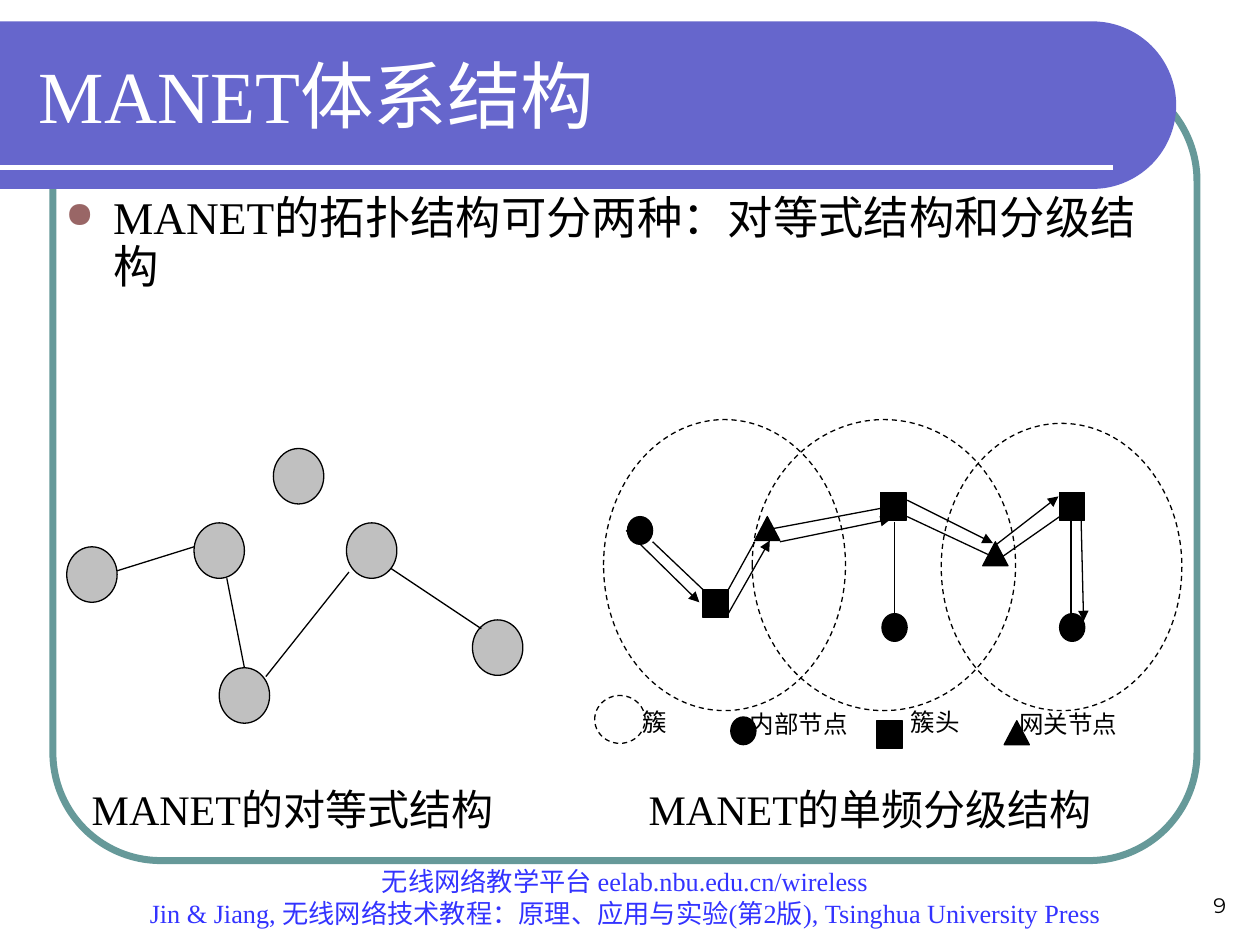
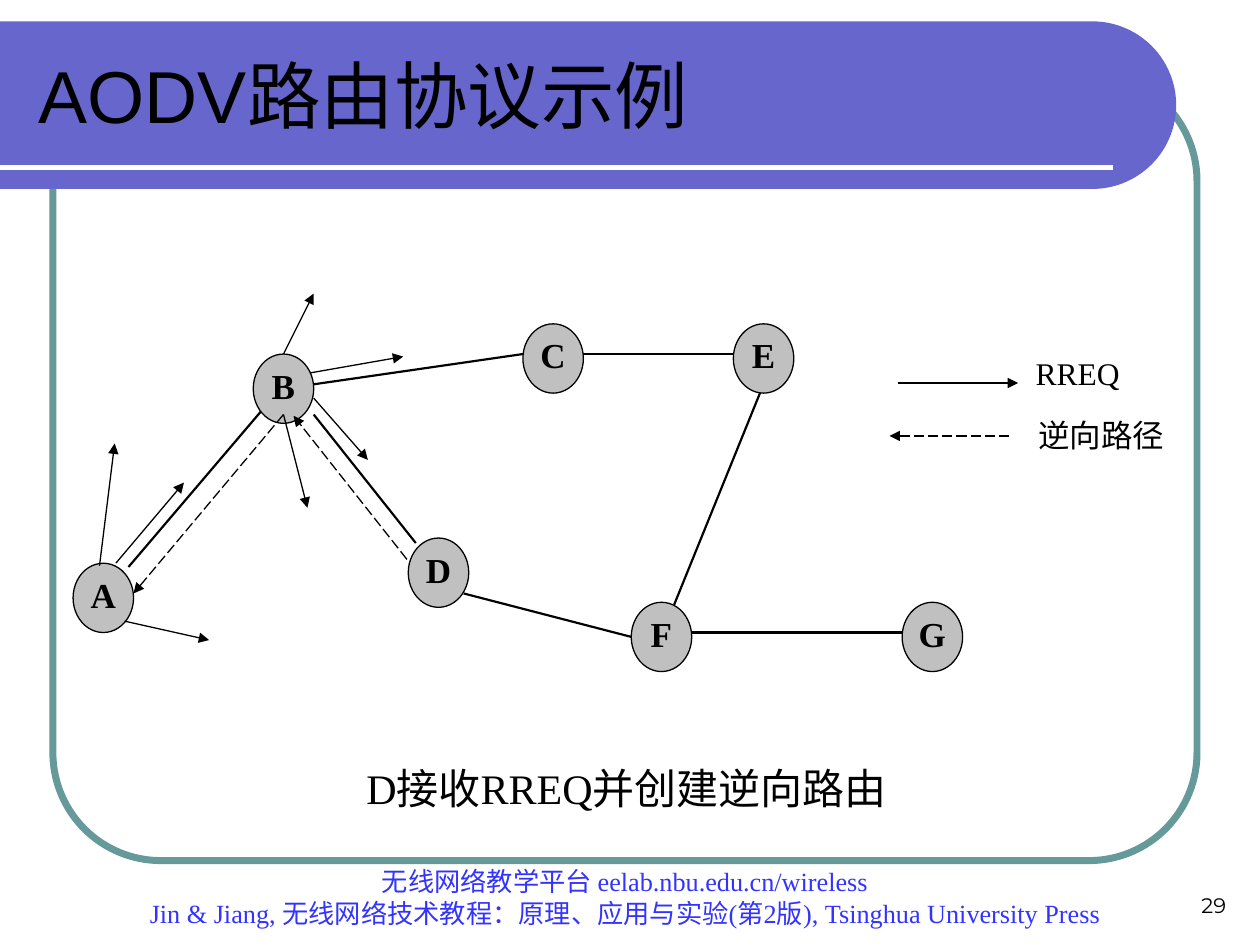
import math

import lxml.etree
import pptx
import pptx.dml.color
import pptx.enum.dml
import pptx.enum.shapes
import pptx.enum.text
import pptx.oxml.ns
import pptx.util

PX = 9144  # EMU per px, 100 px to the inch
SERIF, SANS, NUMBER_FONT = "Times New Roman", "Arial", "Montserrat"
COLORS = {
    "black": "000000", "white": "FFFFFF", "node": "C0C0C0", "band": "6666CC",
    "frame": "669999", "footer": "3333FF", "bullet": "996666",
}
FOOTER = ["无线网络教学平台 eelab.nbu.edu.cn/wireless",
          "Jin & Jiang, 无线网络技术教程：原理、应用与实验(第2版), Tsinghua University Press"]

SHAPE = pptx.enum.shapes.MSO_SHAPE
ALIGN = pptx.enum.text.PP_ALIGN
ANCHOR = pptx.enum.text.MSO_ANCHOR
DASH = pptx.enum.dml.MSO_LINE.DASH
LONG_DASH = pptx.enum.dml.MSO_LINE.LONG_DASH


def rgb(name):
    return pptx.dml.color.RGBColor.from_string(COLORS[name])


def add_xml(parent, tag, **attrs):
    return lxml.etree.SubElement(parent, pptx.oxml.ns.qn(tag), **attrs)


class Deck:
    def __init__(self):
        self.prs = pptx.Presentation()
        self.prs.slide_width = 1000 * PX
        self.prs.slide_height = 750 * PX
        self.s = None

    def stroke(self, line, color, width, dash=None):
        line.color.rgb = rgb(color)
        line.width = pptx.util.Pt(width)
        if dash:
            line.dash_style = dash

    def fill_text(self, sp, lines, size, font=SERIF, color="black", bold=False,
                  align=ALIGN.LEFT, anchor=ANCHOR.TOP, inset=(10, 5)):
        tf = sp.text_frame
        tf.word_wrap = True
        tf.vertical_anchor = anchor
        tf.margin_left = tf.margin_right = inset[0] * PX
        tf.margin_top = tf.margin_bottom = inset[1] * PX
        tf.text = "\n".join(lines)
        for p in tf.paragraphs:
            p.alignment = align
            for r in p.runs:
                r.font.name = font
                r.font.size = pptx.util.Pt(size)
                r.font.bold = bold
                r.font.color.rgb = rgb(color)
        return tf

    def text(self, box, lines, size, **style):
        sp = self.s.shapes.add_textbox(*(v * PX for v in box))
        return self.fill_text(sp, lines, size, **style)

    def label(self, box, text, size):
        self.text(box, [text], size, align=ALIGN.JUSTIFY, inset=(0, 0))

    def caption(self, box, text):
        self.text(box, [text], 24, anchor=ANCHOR.MIDDLE)

    def bullet(self, box, text, size):
        p = self.text(box, [text], size).paragraphs[0]
        pPr = p._p.get_or_add_pPr()
        pPr.set("marL", str(38 * PX))
        pPr.set("indent", str(-38 * PX))
        add_xml(add_xml(pPr, "a:buClr"), "a:srgbClr", val=COLORS["bullet"])
        add_xml(pPr, "a:buSzPct", val="80000")
        add_xml(pPr, "a:buChar", char="●")
        p.line_spacing = 0.9

    def shape(self, kind, box, fill=None, line="black", width=0.75, dash=None):
        sp = self.s.shapes.add_shape(kind, *(v * PX for v in box))
        sp.shadow.inherit = False
        if fill:
            sp.fill.solid()
            sp.fill.fore_color.rgb = rgb(fill)
        else:
            sp.fill.background()
        self.stroke(sp.line, line, width, dash)
        return sp

    def line(self, x1, y1, x2, y2, color="black", width=0.75, dash=None, arrow=False):
        sp = self.s.shapes.add_connector(
            pptx.enum.shapes.MSO_CONNECTOR.STRAIGHT, *(v * PX for v in (x1, y1, x2, y2)))
        self.stroke(sp.line, color, width, dash)
        if arrow:
            add_xml(sp.line._get_or_add_ln(), "a:tailEnd", type="triangle")
        add_xml(sp._element.spPr, "a:effectLst")

    def band(self, top, bottom, arc_x):
        """Bar from the left edge with a half-round right end."""
        r, mid = (bottom - top) / 2, (top + bottom) / 2
        arc = [(arc_x + r * math.cos(math.radians(a)), mid + r * math.sin(math.radians(a)))
               for a in range(-90, 91, 3)]
        fb = self.s.shapes.build_freeform(0, top * PX)
        fb.add_line_segments([(round(x * PX), round(y * PX)) for x, y in arc + [(0, bottom)]])
        sp = fb.convert_to_shape()
        sp.shadow.inherit = False
        sp.fill.solid()
        sp.fill.fore_color.rgb = rgb("band")
        sp.line.fill.background()

    def slide(self, title, number, font=SERIF, color="white"):
        self.s = self.prs.slides.add_slide(self.prs.slide_layouts[6])
        frame = self.shape(SHAPE.ROUNDED_RECTANGLE, (42, 58, 908, 625), line="frame", width=4)
        frame.adjustments[0] = 0.137
        self.band(17, 150, 867)
        self.line(0, 133, 883, 133, color="white", width=3)
        self.text((75, 700, 842, 42), FOOTER, 15, color="footer",
                  align=ALIGN.CENTER, anchor=ANCHOR.BOTTOM)
        self.text((750, 683, 233, 50), [str(number)], 12, font=NUMBER_FONT,
                  align=ALIGN.RIGHT, anchor=ANCHOR.BOTTOM)
        self.text((21, 25, 877, 100), [title], 42, font=font, color=color,
                  anchor=ANCHOR.MIDDLE)


def architecture(d):
    d.slide("MANET体系结构", 9)
    d.bullet((42, 150, 883, 100), "MANET的拓扑结构可分两种：对等式结构和分级结构", 25.9)

    # Flat structure
    for x, y in [(53, 434), (154, 415), (174, 530), (275, 415), (217, 356), (375, 492)]:
        d.shape(SHAPE.OVAL, (x, y, 40, 44), "node")
    for ends in [(93, 453, 154, 434), (180, 459, 194, 530),
                 (211, 537, 277, 454), (310, 451, 382, 499)]:
        d.line(*ends)

    # Clusters
    for box in [(479, 333, 192, 231), (597, 333, 209, 231), (747, 336, 191, 228)]:
        d.shape(SHAPE.OVAL, box, dash=DASH)
    d.shape(SHAPE.OVAL, (472, 552, 40, 38), "white", dash=DASH)

    # Inner nodes, cluster heads and gateways, the last of each in the legend
    markers = [
        (SHAPE.OVAL, 22, [(498, 410), (700, 487), (841, 487), (580, 569)]),
        (SHAPE.RECTANGLE, 22, [(558, 468), (699, 391), (841, 391), (696, 572)]),
        (SHAPE.ISOSCELES_TRIANGLE, 19, [(599, 410), (780, 430), (797, 572)]),
    ]
    for kind, height, places in markers:
        for x, y in places:
            d.shape(kind, (x, y, 20, height), "black")

    # Links and the route along them
    for ends in [(518, 430, 558, 468), (599, 430, 578, 468), (850, 412, 850, 508),
                 (710, 414, 710, 491), (791, 445, 841, 410), (720, 410, 784, 440),
                 (611, 420, 707, 402)]:
        d.line(*ends)
    for ends in [(497, 421, 555, 478), (578, 487, 611, 429), (619, 430, 707, 412),
                 (720, 397, 788, 431), (791, 432, 840, 394), (858, 411, 860, 493)]:
        d.line(*ends, arrow=True)

    # Legend labels and captions
    d.label((510, 561, 40, 39), "簇", 14)
    d.label((595, 563, 109, 32), "内部节点", 14)
    d.label((723, 561, 52, 28), "簇头", 14)
    d.label((809, 563, 104, 34), "网关节点", 14)
    d.caption((63, 617, 354, 50), "MANET的对等式结构")
    d.caption((505, 617, 387, 50), "MANET的单频分级结构")


def aodv_example(d):
    d.slide("AODV路由协议示例", 29, font=SANS, color="black")

    # Links between nodes
    for ends in [(102, 450, 211, 322), (249, 305, 415, 281), (463, 281, 582, 281),
                 (249, 329, 330, 431), (368, 471, 503, 506), (535, 480, 606, 305),
                 (549, 502, 716, 502)]:
        d.line(*ends, width=1.25)

    # Nodes
    nodes = {"A": (58, 447), "B": (201, 281), "C": (415, 257), "D": (324, 427),
             "E": (582, 257), "F": (501, 478), "G": (716, 478)}
    for name, (x, y) in nodes.items():
        sp = d.shape(SHAPE.OVAL, (x, y, 48, 55), "node")
        d.fill_text(sp, [name], 20, bold=True, align=ALIGN.CENTER, inset=(0, 0))

    # RREQ broadcasts from A and B, then the legend arrow
    for ends in [(99, 493, 166, 508), (92, 447, 146, 383), (79, 449, 91, 352),
                 (225, 281, 249, 233), (246, 296, 320, 283), (249, 316, 292, 365),
                 (225, 329, 244, 403), (713, 304, 808, 304)]:
        d.line(*ends, arrow=True)

    # Reverse path, then the legend arrow
    for ends in [(225, 329, 106, 471), (323, 444, 233, 330), (801, 346, 706, 346)]:
        d.line(*ends, dash=LONG_DASH, arrow=True)

    # Legend labels and caption
    d.label((822, 281, 95, 47), "RREQ", 18)
    d.label((824, 330, 101, 47), "逆向路径", 18)
    d.caption((281, 600, 462, 50), "D接收RREQ并创建逆向路由")


def main():
    d = Deck()
    architecture(d)
    aodv_example(d)
    d.prs.save("out.pptx")


if __name__ == "__main__":
    main()
